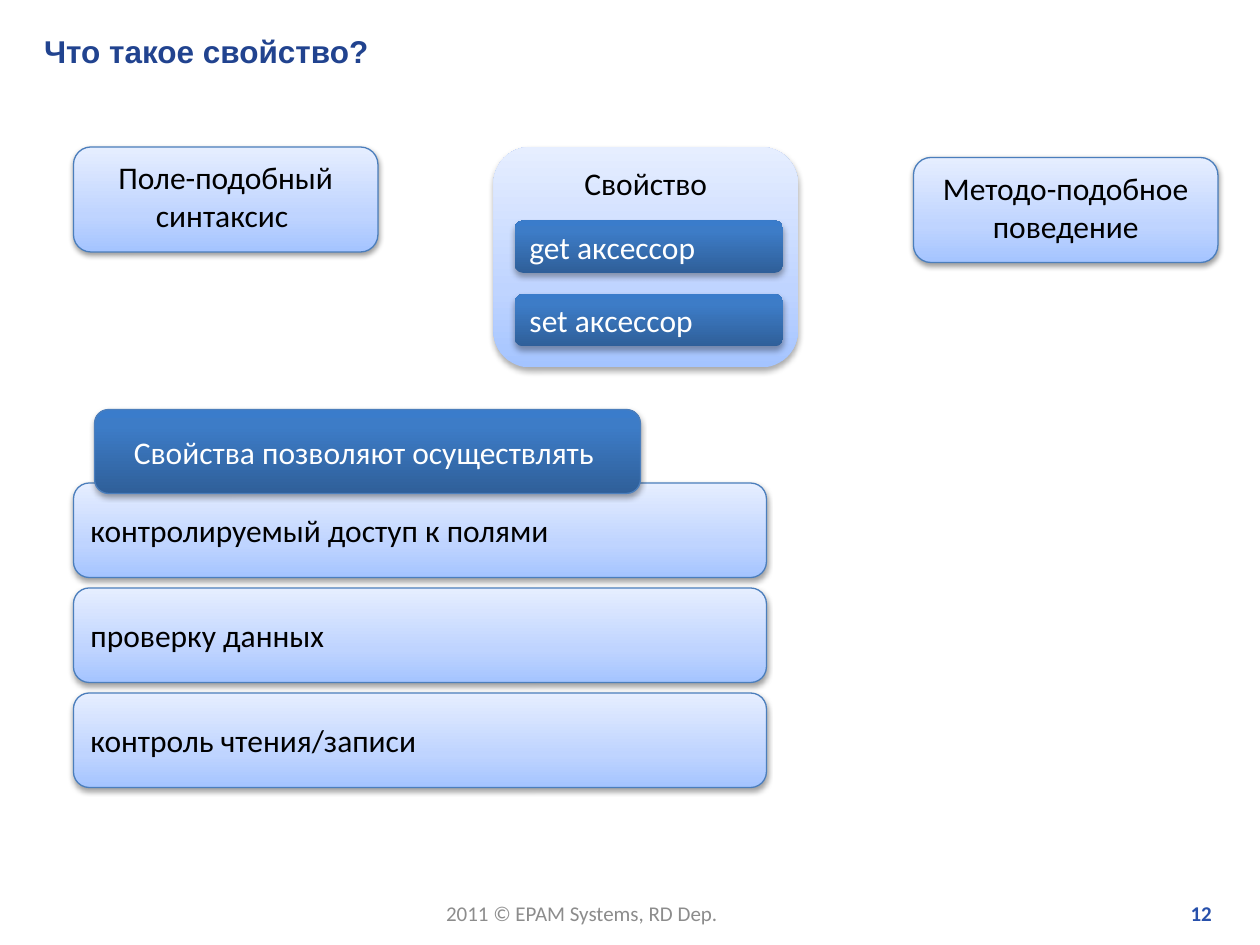
"""Build the slide that explains what a property is."""
from dataclasses import dataclass

from lxml.etree import SubElement
from pptx import Presentation
from pptx.dml.color import RGBColor
from pptx.enum.shapes import MSO_SHAPE
from pptx.enum.text import MSO_ANCHOR, MSO_AUTO_SIZE, PP_ALIGN
from pptx.oxml.ns import qn
from pptx.util import Emu, Pt

ROUNDED = MSO_SHAPE.ROUNDED_RECTANGLE
TOP, MIDDLE = MSO_ANCHOR.TOP, MSO_ANCHOR.MIDDLE
LEFT, CENTER, RIGHT, JUSTIFY = PP_ALIGN.LEFT, PP_ALIGN.CENTER, PP_ALIGN.RIGHT, PP_ALIGN.JUSTIFY
PX = 914400 // 120


@dataclass(frozen=True)
class Theme:
    """Colours, fonts, type sizes and shadows of the slide."""
    heading_font: str = "Arial"
    body_font: str = "Calibri"
    body_size: int = 18
    footer_size: int = 12
    heading: str = "21438F"
    footer: str = "8C8C8C"
    page: str = "2750AB"
    dark_text: str = "000000"
    light_text: str = "FFFFFF"
    outline: str = "4B7EBC"
    light: tuple = ((0, "A4C4FF"), (35, "BFD4FF"), (100, "E6EEFF"))
    dark: tuple = ((0, "2F5F99"), (80, "3D7CC7"), (100, "3A7CCB"))
    flat_shadow: tuple = (38, 3.15, 1.57)
    header_shadow: tuple = (35, 3.15, 1.81)
    deep_shadow: tuple = (32, 3.5, 2.2)


THEME = Theme()

TITLE = "Что такое свойство?"
FOOTER = "2011 © EPAM Systems, RD Dep."
PAGE = "12"
PROPERTY = "Свойство"
ACCESSORS = ["get аксессор", "set аксессор"]
ASPECTS = [("Поле-подобный синтаксис ", 70, 140), ("Методо-подобное поведение", 870, 150)]
ABILITIES_HEADER = "Свойства позволяют осуществлять "
ABILITIES = ["контролируемый доступ к полями", "проверку данных", "контроль чтения/записи"]


def place(box):
    return [Emu(value * PX) for value in box]


def write(holder, text, *, color=THEME.dark_text, size=THEME.body_size, font=THEME.body_font,
          bold=False, align=LEFT, anchor=TOP, wrap=True):
    frame = holder.text_frame
    frame.auto_size = MSO_AUTO_SIZE.NONE
    frame.word_wrap = wrap
    frame.vertical_anchor = anchor
    paragraph = frame.paragraphs[0]
    paragraph.alignment = align
    run = paragraph.add_run()
    run.text = text
    run.font.name = font
    run.font.size = Pt(size)
    run.font.bold = bold
    run.font.color.rgb = RGBColor.from_string(color)


def add_color(parent, color):
    return SubElement(parent, qn("a:srgbClr"), val=color)


def add_card(slide, box, text, *, stops=THEME.light, shadow=THEME.flat_shadow,
             outlined=True, **text_format):
    card = slide.shapes.add_shape(ROUNDED, *place(box))
    card.fill.gradient()
    card.fill.gradient_angle = 90
    properties = card._element.spPr
    stop_list = properties.find(qn("a:gradFill")).find(qn("a:gsLst"))
    for default_stop in list(stop_list):
        stop_list.remove(default_stop)
    for position, color in stops:
        add_color(SubElement(stop_list, qn("a:gs"), pos=str(position * 1000)), color)
    if outlined:
        card.line.color.rgb = RGBColor.from_string(THEME.outline)
        card.line.width = Pt(0.75)
    else:
        card.line.fill.background()
    card.shadow.inherit = False
    alpha, blur, distance = shadow
    outer = SubElement(properties.find(qn("a:effectLst")), qn("a:outerShdw"),
                       blurRad=str(Pt(blur)), dist=str(Pt(distance)),
                       dir="5400000", rotWithShape="0")
    SubElement(add_color(outer, THEME.dark_text), qn("a:alpha"), val=str(alpha * 1000))
    write(card, text, **text_format)


def add_label(slide, box, text, **text_format):
    write(slide.shapes.add_textbox(*place(box)), text, size=THEME.footer_size, **text_format)


def main():
    deck = Presentation()
    deck.slide_width, deck.slide_height = place((1200, 900))
    slide = deck.slides.add_slide(deck.slide_layouts[5])

    title = slide.shapes.title
    title.left, title.top, title.width, title.height = place((30, 24, 1145, 48))
    write(title, TITLE, color=THEME.heading, font=THEME.heading_font, bold=True, anchor=MIDDLE)

    add_card(slide, (470, 140, 290, 210), PROPERTY, shadow=THEME.deep_shadow,
             outlined=False, align=CENTER)
    for row, accessor in enumerate(ACCESSORS):
        add_card(slide, (490, 210 + 70 * row, 256, 50), accessor, stops=THEME.dark,
                 shadow=THEME.deep_shadow, outlined=False, color=THEME.light_text,
                 align=JUSTIFY, anchor=MIDDLE)

    for aspect, left, top in ASPECTS:
        add_card(slide, (left, top, 290, 100), aspect, align=CENTER)

    for row, ability in enumerate(ABILITIES):
        add_card(slide, (70, 460 + 100 * row, 660, 90), ability, align=JUSTIFY, anchor=MIDDLE)
    add_card(slide, (90, 390, 520, 80), ABILITIES_HEADER, stops=THEME.dark,
             shadow=THEME.header_shadow, color=THEME.light_text, align=CENTER, anchor=MIDDLE)

    add_label(slide, (413, 852, 287, 36), FOOTER, color=THEME.footer, wrap=False)
    add_label(slide, (912, 852, 254, 36), PAGE, color=THEME.page, bold=True, align=RIGHT)
    deck.save("out.pptx")


if __name__ == "__main__":
    main()
